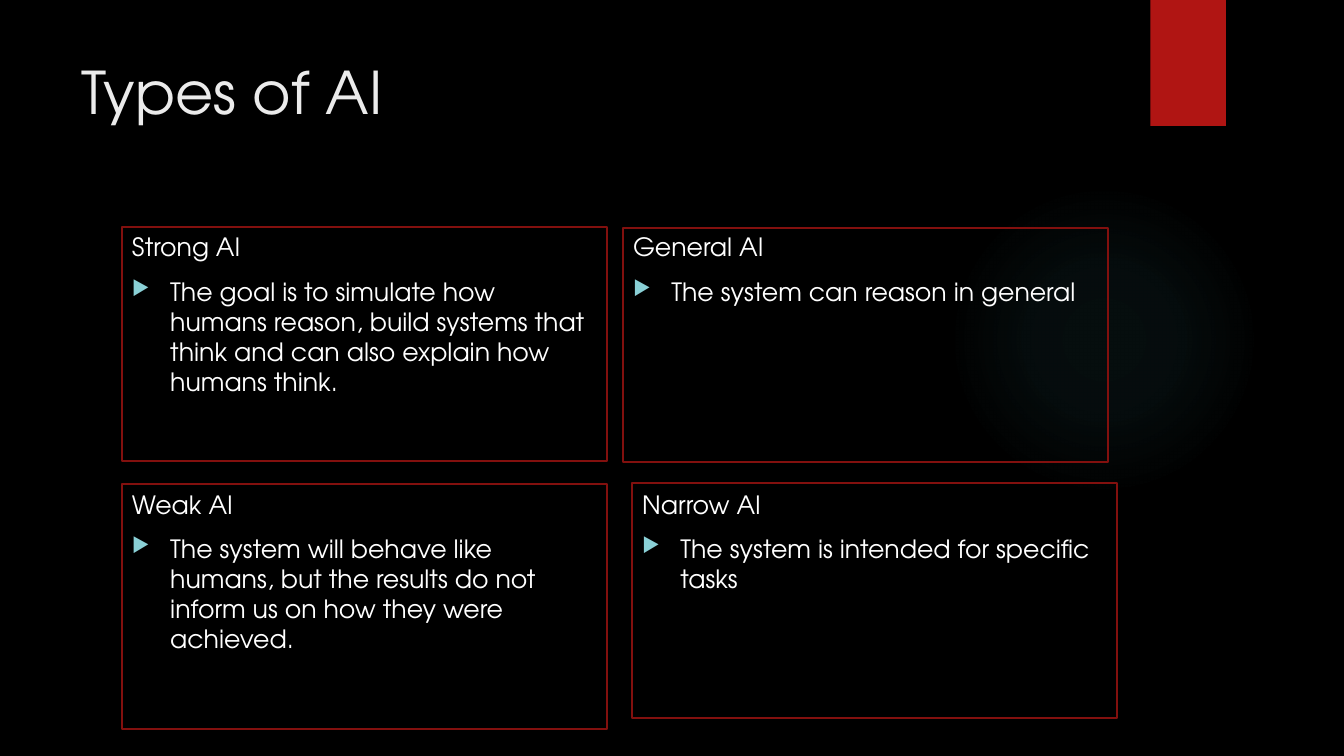
from dataclasses import dataclass

from pptx import Presentation
from pptx.dml.color import RGBColor
from pptx.enum.shapes import MSO_SHAPE as Shape
from pptx.enum.text import MSO_ANCHOR as Anchor, PP_ALIGN as Align
from pptx.oxml import parse_xml
from pptx.oxml.ns import nsdecls, qn
from pptx.util import Emu, Pt

PX = 9144  # EMU per px, 100 px to the inch


@dataclass(frozen=True)
class Theme:
    font: str = "TeX Gyre Adventor"
    background: str = "000000"
    title: str = "EBEBEB"
    body: str = "FFFFFF"
    bullet: str = "8AD0D6"
    frame: str = "82100E"
    ribbon: str = "B01513"
    glow: str = "50B9C1"
    title_size: int = 42
    body_size: int = 18
    space_before: int = 10
    frame_width: float = 1.5


@dataclass(frozen=True)
class Box:
    left: int
    top: int
    width: int
    height: int

    def emu(self) -> list[Emu]:
        return [Emu(v * PX) for v in (self.left, self.top, self.width, self.height)]


@dataclass(frozen=True)
class Panel:
    heading: str
    detail: str
    text: Box
    frame: Box


THEME = Theme()
INDENT = 38
GLOW_STOPS = ((0, 7), (36, 6), (69, 0))  # position %, opacity %

PANELS = (
    Panel("Strong AI",
          "The goal is to simulate how humans reason, build systems that think "
          "and can also explain how humans think.",
          Box(121, 225, 481, 232), Box(121, 225, 481, 232)),
    Panel("General AI", "The system can reason in general",
          Box(618, 225, 481, 232), Box(618, 226, 481, 232)),
    Panel("Weak AI",
          "The system will behave like humans, but the results do not inform us "
          "on how they were achieved.",
          Box(121, 480, 481, 232), Box(121, 480, 481, 243)),
    Panel("Narrow AI", "The system is intended for specific tasks",
          Box(627, 480, 481, 232), Box(627, 479, 481, 233)),
)


def rgb(color: str) -> RGBColor:
    return RGBColor.from_string(color)


def add_shape(s, kind, box: Box, fill: str = "", line: str = ""):
    sp = s.shapes.add_shape(kind, *box.emu())
    sp.shadow.inherit = False
    if fill:
        sp.fill.solid()
        sp.fill.fore_color.rgb = rgb(fill)
    else:
        sp.fill.background()
    if line:
        sp.line.color.rgb = rgb(line)
        sp.line.width = Pt(THEME.frame_width)
    else:
        sp.line.fill.background()
    return sp


def add_glow(s, box: Box) -> None:
    sp = add_shape(s, Shape.OVAL, box)
    stops = "".join(
        f'<a:gs pos="{pos * 1000}"><a:srgbClr val="{THEME.glow}">'
        f'<a:alpha val="{alpha * 1000}"/></a:srgbClr></a:gs>'
        for pos, alpha in GLOW_STOPS)
    gradient = parse_xml(
        f'<a:gradFill {nsdecls("a")} rotWithShape="1"><a:gsLst>{stops}</a:gsLst>'
        '<a:path path="circle"><a:fillToRect l="50000" t="50000" r="50000" b="50000"/>'
        '</a:path></a:gradFill>')
    props = sp.element.spPr
    props.replace(props.find(qn("a:noFill")), gradient)


def add_text_frame(s, box: Box):
    tf = s.shapes.add_textbox(*box.emu()).text_frame
    tf.word_wrap = True
    tf.vertical_anchor = Anchor.TOP
    return tf


def write(p, text: str, size: int, color: str) -> None:
    p.alignment = Align.LEFT
    r = p.add_run()
    r.text = text
    for name, value in {"name": THEME.font, "size": Pt(size)}.items():
        setattr(r.font, name, value)
    r.font.color.rgb = rgb(color)


def add_bullet(p) -> None:
    props = p._p.get_or_add_pPr()
    props.set("marL", str(INDENT * PX))
    props.set("indent", str(-INDENT * PX))
    for xml in (f'<a:buClr {nsdecls("a")}><a:srgbClr val="{THEME.bullet}"/></a:buClr>',
                f'<a:buSzPct {nsdecls("a")} val="80000"/>',
                f'<a:buChar {nsdecls("a")} char="▶"/>'):
        props.append(parse_xml(xml))


def add_panel_text(s, panel: Panel) -> None:
    tf = add_text_frame(s, panel.text)
    heading, detail = tf.paragraphs[0], tf.add_paragraph()
    for p, text in ((heading, panel.heading), (detail, panel.detail)):
        p.space_before = Pt(THEME.space_before)
        write(p, text, THEME.body_size, THEME.body)
    add_bullet(detail)


def main() -> None:
    prs = Presentation()
    prs.slide_width, prs.slide_height = Emu(1333 * PX), Emu(750 * PX)
    s = prs.slides.add_slide(prs.slide_layouts[6])

    # Backdrop
    s.background.fill.solid()
    s.background.fill.fore_color.rgb = rgb(THEME.background)
    add_glow(s, Box(941, 183, 308, 308))
    add_shape(s, Shape.RECTANGLE, Box(1141, 0, 75, 125), fill=THEME.ribbon)

    # Title
    title = add_text_frame(s, Box(71, 50, 1029, 153))
    write(title.paragraphs[0], "Types of AI", THEME.title_size, THEME.title)

    # Four types of AI
    for panel in PANELS:
        add_panel_text(s, panel)
        add_shape(s, Shape.RECTANGLE, panel.frame, line=THEME.frame)

    prs.save("out.pptx")


if __name__ == "__main__":
    main()
